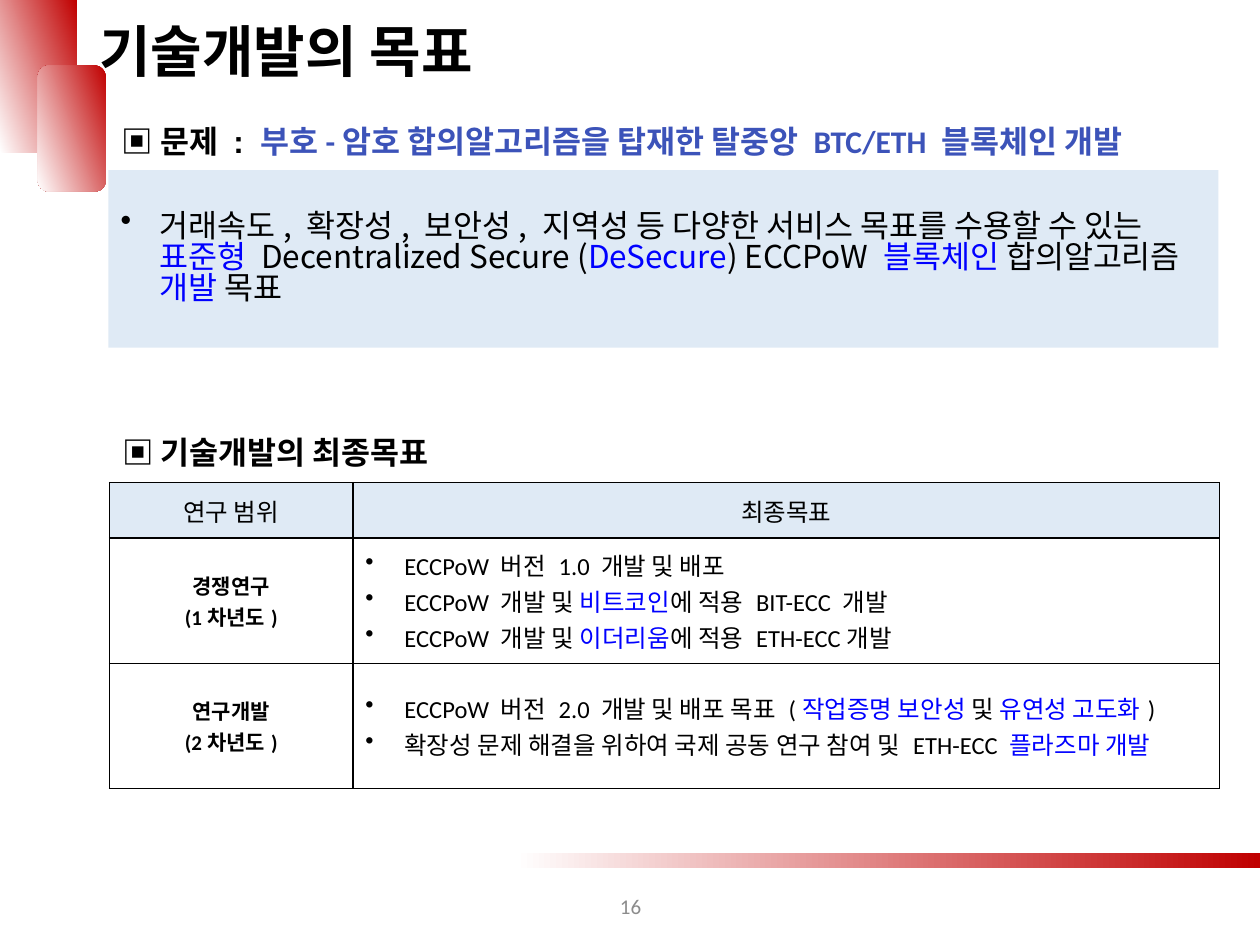
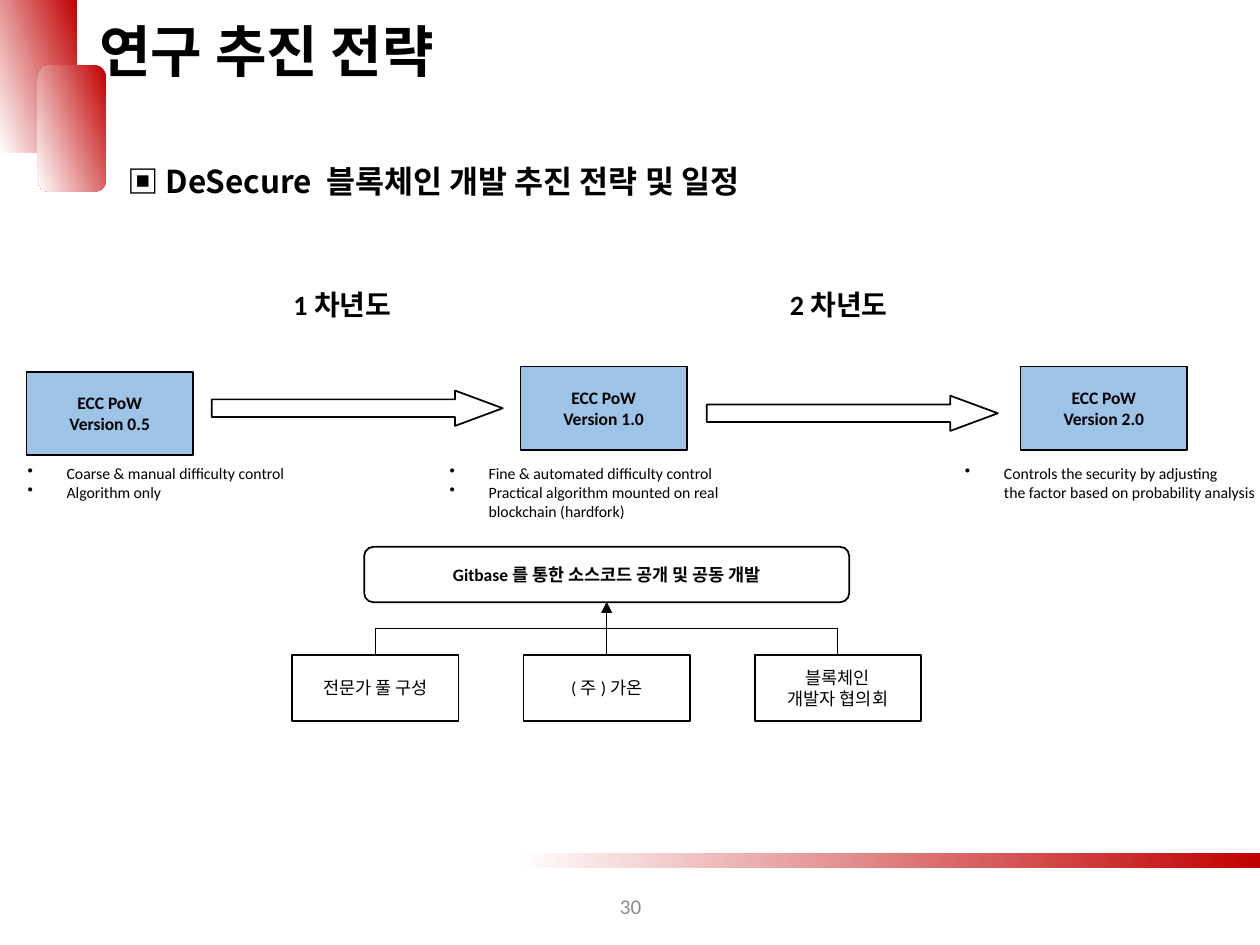
from lxml import etree
from pptx import Presentation
from pptx import util as u
from pptx.dml.color import RGBColor
from pptx.enum import shapes, text
from pptx.oxml import ns

BLACK = RGBColor(0, 0, 0)
WHITE = RGBColor(255, 255, 255)
RED = RGBColor(192, 0, 0)
BLUE = RGBColor(0, 0, 255)
INDIGO = RGBColor(0x3C, 0x53, 0xB9)
GRAY = RGBColor(0x8C, 0x8C, 0x8C)
PALE = RGBColor(0xDF, 0xEA, 0xF5)
SKY = RGBColor(0x9D, 0xC3, 0xE6)
LATIN, HEADING, KOREAN = "Calibri", "Arial", "Noto Sans CJK KR"
SHAPE = shapes.MSO_SHAPE
MIDDLE = text.MSO_ANCHOR.MIDDLE
CELL = u.Inches(0.1)
INDENT = 3.1


def grid(*lengths):
    """Turn columns and rows of the 100 by 75 slide grid into lengths."""
    return [u.Emu(round(length * CELL)) for length in lengths]


def add_child(parent, tag, **attributes):
    """Append a drawing element with its attributes."""
    return etree.SubElement(parent, ns.qn(tag), attributes)


def set_bullet(para):
    """Give a paragraph a hanging round bullet."""
    properties = para._p.get_or_add_pPr()
    hang = grid(INDENT)[0]
    properties.set("marL", str(hang))
    properties.set("indent", str(-hang))
    bullet = etree.Element(ns.qn("a:buChar"), char="•")
    properties.insert(0, bullet)


def write(frame, paragraphs, size, font=LATIN, bold=False, color=BLACK,
          centered=False, bullets=False, spacing=None):
    """Fill a frame with paragraphs, each a string or a list of spans."""
    for number, spans in enumerate(paragraphs):
        para = frame.paragraphs[0] if number == 0 else frame.add_paragraph()
        para.alignment = text.PP_ALIGN.CENTER if centered else text.PP_ALIGN.LEFT
        para.font.size, para.font.bold, para.font.name = u.Pt(size), bold, font
        if spacing:
            para.line_spacing = spacing
        if bullets:
            set_bullet(para)
        for item in [spans] if isinstance(spans, str) else spans:
            if item == "\n":
                para.add_line_break()
                continue
            words, tint, face = (item, color, None) if isinstance(item, str) else (*item, None)[:3]
            span = para.add_run()
            span.text = words
            span.font.color.rgb = tint
            if face:
                span.font.name = face


def add_text(page, place, paragraphs, size, wrap=True, grow=True, **style):
    """Add a text box."""
    box = page.shapes.add_textbox(*grid(*place))
    frame = box.text_frame
    frame.word_wrap = wrap
    if grow:
        frame.auto_size = text.MSO_AUTO_SIZE.SHAPE_TO_FIT_TEXT
    else:
        frame.vertical_anchor = MIDDLE
    write(frame, paragraphs, size, **style)


def add_box(page, kind, place, fill=None, line=True):
    """Add a flat shape with an optional fill and black outline."""
    box = page.shapes.add_shape(kind, *grid(*place))
    box.shadow.inherit = False
    if fill is None:
        box.fill.background()
    else:
        box.fill.solid()
        box.fill.fore_color.rgb = fill
    if line:
        box.line.color.rgb = BLACK
        box.line.width = u.Pt(1)
    else:
        box.line.fill.background()
    return box


def add_label_box(page, kind, place, paragraphs, size=10, fill=None, line=True,
                  centered=True, **style):
    """Add a shape with text anchored in its middle."""
    box = add_box(page, kind, place, fill, line)
    box.text_frame.word_wrap = True
    box.text_frame.vertical_anchor = MIDDLE
    write(box.text_frame, paragraphs, size, centered=centered, **style)
    return box


def add_gradient(page, kind, place, colors, angle):
    """Add an unlined shape with a two-colour gradient."""
    box = add_box(page, kind, place, line=False)
    box.fill.gradient()
    box.fill.gradient_angle = angle
    for position, (stop, color) in enumerate(zip(box.fill.gradient_stops, colors)):
        stop.color.rgb = color
        stop.position = position


def add_page(deck, title, number):
    """Add a slide with the shared ornaments, title and page number."""
    page = deck.slides.add_slide(deck.slide_layouts[6])
    add_gradient(page, SHAPE.RECTANGLE, (0, 0, 6.1, 12.1), (RED, WHITE), 200)
    add_gradient(page, SHAPE.FLOWCHART_ALTERNATE_PROCESS, (3, 5.2, 5.4, 10), (RED, WHITE), 200)
    add_gradient(page, SHAPE.RECTANGLE, (40.9, 67.7, 59.1, 1.2), (WHITE, RED), 0)
    add_text(page, (6.9, 0.8, 55.4, 6.4), [title], 32, bold=True)
    add_text(page, (38.8, 69.9, 22.5, 4), [number], 12, grow=False, color=GRAY, centered=True)
    return page


def style_cell(cell, fill):
    """Give a table cell its fill, anchor and thin black borders."""
    cell.vertical_anchor = MIDDLE
    properties = cell._tc.get_or_add_tcPr()
    for side in ("a:lnL", "a:lnR", "a:lnT", "a:lnB"):
        border = add_child(properties, side, w=str(u.Pt(1)))
        add_child(add_child(border, "a:solidFill"), "a:srgbClr", val=str(BLACK))
    cell.fill.solid()
    cell.fill.fore_color.rgb = fill


def add_goal_table(page, place, widths, heights, header, rows):
    """Add the table of research scopes and their final goals."""
    table = page.shapes.add_table(len(heights), len(widths), *grid(*place)).table
    table.first_row = table.horz_banding = False
    for column, width in zip(table.columns, grid(*widths)):
        column.width = width
    for row, height in zip(table.rows, grid(*heights)):
        row.height = height
    for cell in table.iter_cells():
        style_cell(cell, WHITE)
    for column, heading in enumerate(header):
        cell = table.cell(0, column)
        cell.fill.fore_color.rgb = PALE
        write(cell.text_frame, [heading], 14, centered=True)
    for row, (scope, goals) in enumerate(rows, 1):
        write(table.cell(row, 0).text_frame, scope, 12, bold=True, centered=True)
        write(table.cell(row, 1).text_frame, goals, 14, bullets=True)


def connect_up(page, lower, upper):
    """Lead an arrow from the top of one box to the bottom of another."""
    start_x, start_y = lower.left + lower.width // 2, lower.top
    end_x, end_y = upper.left + upper.width // 2, upper.top + upper.height
    run, rise = end_x - start_x, start_y - end_y
    straight = abs(run) < CELL / 2
    kind = shapes.MSO_CONNECTOR.STRAIGHT if straight else shapes.MSO_CONNECTOR.ELBOW
    link = page.shapes.add_connector(kind, start_x, start_y, end_x, end_y)
    link.begin_connect(lower, 0)
    link.end_connect(upper, 2)
    properties = link._element.spPr
    if not straight:
        link.left = (start_x + end_x - rise) // 2
        link.top = (start_y + end_y - abs(run)) // 2
        link.width, link.height = rise, abs(run)
        frame = properties.find(ns.qn("a:xfrm"))
        frame.set("rot", str((90 if run > 0 else 270) * 60000))
        frame.set("flipH", "1" if run > 0 else "0")
        frame.set("flipV", "1")
    link.line.color.rgb = BLACK
    link.line.width = u.Pt(0.5)
    add_child(properties.find(ns.qn("a:ln")), "a:tailEnd", type="triangle")
    add_child(properties, "a:effectLst")


def build_goals(deck):
    """Build the slide on the goals of the development."""
    page = add_page(deck, "기술개발의 목표", "16")
    summary = [
        "거래속도, 확장성, 보안성, 지역성 등 다양한 서비스 목표를 수용할 수 있는 ",
        ("표준형 ", BLUE), "Decentralized Secure (", ("DeSecure", BLUE), ") ECCPoW ",
        ("블록체인", BLUE), " 합의알고리즘 ", ("개발", BLUE), " 목표"]
    add_label_box(page, SHAPE.RECTANGLE, (8.6, 13.5, 88.1, 14.1), [summary], 18, PALE,
                  line=False, centered=False, font=KOREAN, bullets=True, spacing=0.83)
    add_text(page, (8.7, 33.9, 29.1, 4), ["▣ 기술개발의 최종목표"], 18,
             wrap=False, font=HEADING, bold=True)
    first_year = [
        "ECCPoW 버전 1.0 개발 및 배포",
        ["ECCPoW 개발 및 ", ("비트코인", BLUE), "에 적용 BIT-ECC 개발"],
        ["ECCPoW 개발 및 ", ("이더리움", BLUE), "에 적용 ETH-ECC개발"]]
    second_year = [
        ["ECCPoW 버전 2.0 개발 및 배포 목표 (", ("작업증명 보안성 ", BLUE), "및 ",
         ("유연성 고도화", BLUE), ")"],
        ["확장성 문제 해결을 위하여 국제 공동 연구 참여 및 ETH-ECC ", ("플라즈마 개발", BLUE)]]
    add_goal_table(page, (8.7, 38.3, 88.1, 24.3), (19.3, 68.8), (4.4, 9.95, 9.95),
                   ("연구 범위", "최종목표"),
                   [(["경쟁연구", "(1차년도)"], first_year),
                    (["연구개발", "(2차년도)"], second_year)])
    problem = ["▣ 문제 : ",
               ("부호-암호 합의알고리즘을 탑재한 탈중앙 BTC/ETH 블록체인 개발", INDIGO, LATIN)]
    add_text(page, (8.7, 9.2, 84.3, 4), [problem], 18, wrap=False, font=HEADING, bold=True)


def build_strategy(deck):
    """Build the slide on the research strategy and schedule."""
    page = add_page(deck, "연구 추진 전략", "30")
    add_text(page, (9.1, 12.4, 90.5, 4), ["▣ DeSecure 블록체인 개발 추진 전략 및 일정"], 18,
             font=KOREAN, bold=True)
    versions = [
        ("0.5", 2.1, 29.5, 1.2, 27.9, ["Coarse & manual difficulty control", "Algorithm only"]),
        ("1.0", 41.3, 29.1, 34.7, 25.6,
         ["Fine & automated difficulty control",
          "Practical algorithm mounted on real blockchain (hardfork)"]),
        ("2.0", 81, 29.1, 75.6, 28.1,
         [["Controls the security by adjusting ", "\n",
           "the factor based on probability analysis"]])]
    for version, left, top, note_left, note_width, notes in versions:
        add_label_box(page, SHAPE.RECTANGLE, (left, top, 13.2, 6.6),
                      ["ECC PoW", f"Version {version}"], fill=SKY, bold=True)
        add_text(page, (note_left, 36.3, note_width, 4), notes, 9, bullets=True)
    years = [("1차년도", 22.3, 16.8, 31), ("2차년도", 61.7, 56.1, 31.4)]
    for year, year_left, arrow_left, arrow_top in years:
        add_text(page, (year_left, 22.3, 9.9, 3.7), [year], 16, wrap=False, bold=True)
        arrow = add_box(page, SHAPE.RIGHT_ARROW, (arrow_left, arrow_top, 23.1, 2.8))
        arrow.adjustments[1] = 1.35
    sharing = add_label_box(page, SHAPE.ROUNDED_RECTANGLE, (28.9, 43.4, 38.5, 4.4),
                            ["Gitbase를 통한 소스코드 공개 및 공동 개발"], bold=True)
    partners = [["전문가 풀 구성"], ["(주)가온"], ["블록체인", "개발자 협의회"]]
    for number, partner in enumerate(partners):
        box = add_label_box(page, SHAPE.RECTANGLE,
                            (23.2 + 18.35 * number, 52, 13.2, 5.2), partner)
        connect_up(page, box, sharing)


def main():
    """Build and save the deck."""
    deck = Presentation()
    deck.slide_width, deck.slide_height = grid(100, 75)
    build_goals(deck)
    build_strategy(deck)
    deck.save("out.pptx")


if __name__ == "__main__":
    main()
